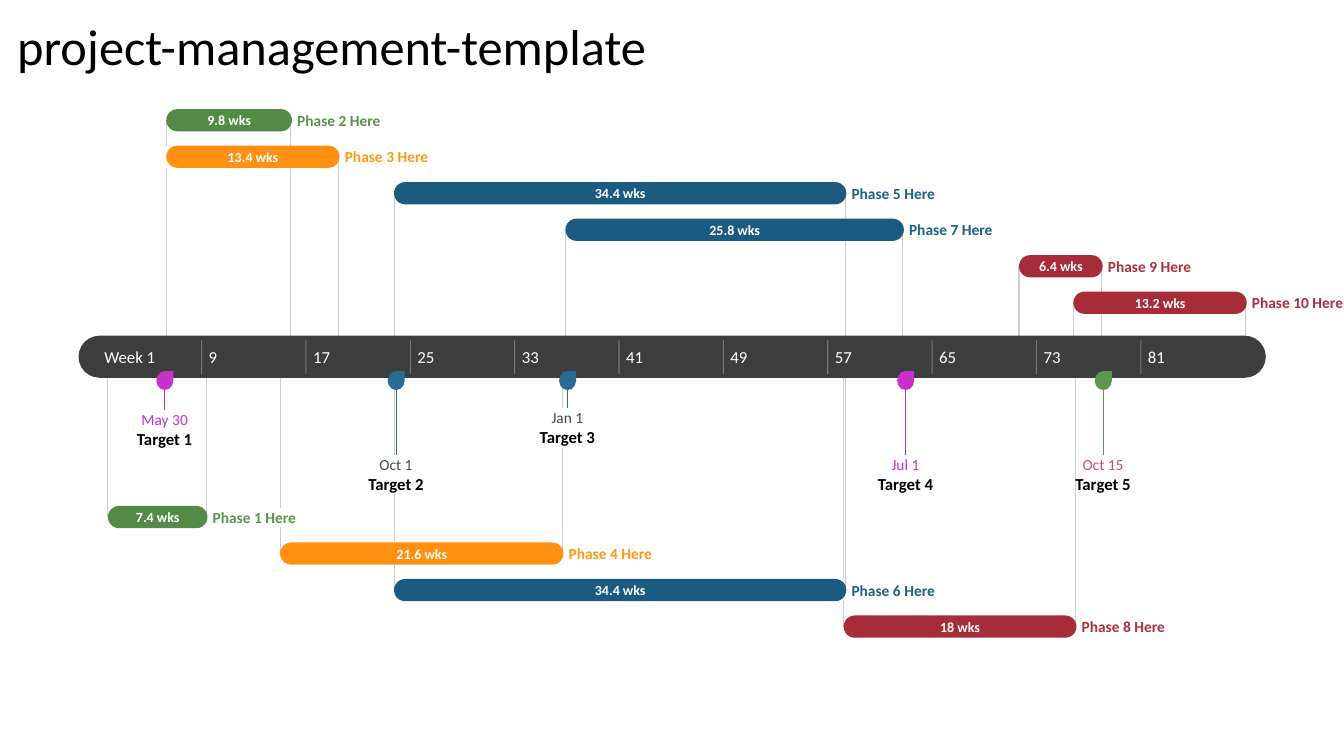
"""Build a project timeline slide with phases above and below a band of weeks."""
import dataclasses
import typing

import lxml.etree
import pptx
import pptx.dml.color
import pptx.enum.shapes
import pptx.enum.text
import pptx.oxml.ns
import pptx.util

Cm = pptx.util.Cm
Shape = pptx.enum.shapes.MSO_SHAPE
Align = pptx.enum.text.PP_ALIGN


@dataclasses.dataclass(frozen=True)
class Tone:
    fill: str
    ink: str


@dataclasses.dataclass(frozen=True)
class Theme:
    font: str = "Calibri"
    white: str = "FFFFFF"
    black: str = "000000"
    band: str = "3D3D3D"
    guide: str = "CCCCCC"
    slate: str = "454551"
    rose: str = "D54773"
    pink: str = "C830CC"
    azure: str = "286C94"
    leaf: str = "5C9650"
    green: Tone = Tone("528A46", "59944D")
    orange: Tone = Tone("FF9012", "FF9816")
    blue: Tone = Tone("1C5B81", "1F6086")
    red: Tone = Tone("A52C38", "AC2F3C")
    title: int = 36
    large: int = 12
    label: int = 11
    small: int = 10
    rule: float = 0.75


@dataclasses.dataclass(frozen=True)
class Box:
    left: float
    top: float
    width: float
    height: float

    @property
    def right(self) -> float:
        return self.left + self.width

    @property
    def base(self) -> float:
        return self.top + self.height

    @property
    def mid(self) -> float:
        return self.top + self.height / 2


@dataclasses.dataclass(frozen=True)
class Phase:
    name: str
    weeks: str
    left: float
    width: float
    tone: Tone


@dataclasses.dataclass(frozen=True)
class Target:
    name: str
    date: str
    x: float
    top: float
    fill: str
    ink: str


THEME = Theme()
BAND = Box(1.98, 8.46, 29.92, 1.06)
ROW_STEP, BAR_HEIGHT = 0.92, 0.56
WEEK_LEFT, WEEK_STEP = 2.45, 2.63

ABOVE = [
    Phase("Phase 2 Here", "9.8 wks", 4.19, 3.17, THEME.green),
    Phase("Phase 3 Here", "13.4 wks", 4.19, 4.37, THEME.orange),
    Phase("Phase 5 Here", "34.4 wks", 9.93, 11.4, THEME.blue),
    Phase("Phase 7 Here", "25.8 wks", 14.25, 8.53, THEME.blue),
    Phase("Phase 9 Here", "6.4 wks", 25.68, 2.11, THEME.red),
    Phase("Phase 10 Here", "13.2 wks", 27.05, 4.37, THEME.red),
]
BELOW = [
    Phase("Phase 1 Here", "7.4 wks", 2.72, 2.51, THEME.green),
    Phase("Phase 4 Here", "21.6 wks", 7.06, 7.14, THEME.orange),
    Phase("Phase 6 Here", "34.4 wks", 9.93, 11.4, THEME.blue),
    Phase("Phase 8 Here", "18 wks", 21.26, 5.87, THEME.red),
]
TARGETS = [
    Target("Target 1", "May 30", 4.15, 10.34, THEME.pink, THEME.pink),
    Target("Target 2", "Oct 1", 9.98, 11.46, THEME.azure, THEME.slate),
    Target("Target 3", "Jan 1", 14.3, 10.29, THEME.azure, THEME.slate),
    Target("Target 4", "Jul 1", 22.82, 11.46, THEME.pink, THEME.pink),
    Target("Target 5", "Oct 15", 27.8, 11.46, THEME.leaf, THEME.rose),
]


def rgb(code: str) -> pptx.dml.color.RGBColor:
    """Turn a hex code into a colour."""
    return pptx.dml.color.RGBColor.from_string(code)


def place(box: Box) -> tuple:
    """Give the lengths of a box."""
    return Cm(box.left), Cm(box.top), Cm(box.width), Cm(box.height)


def style(frame: typing.Any, text: str, size: int, ink: str, bold: bool, align: typing.Any) -> None:
    """Fill a text frame with one styled line."""
    frame.text = text
    frame.word_wrap = True
    frame.auto_size = pptx.enum.text.MSO_AUTO_SIZE.NONE
    frame.vertical_anchor = pptx.enum.text.MSO_ANCHOR.MIDDLE
    line = frame.paragraphs[0]
    line.alignment = align
    font = line.runs[0].font
    font.name, font.size, font.bold = THEME.font, pptx.util.Pt(size), bold
    font.color.rgb = rgb(ink)


def write(slide: typing.Any, box: Box, text: str, size: int, ink: str,
          bold: bool = False, align: typing.Any = Align.CENTER) -> None:
    """Add a text box without insets."""
    frame = slide.shapes.add_textbox(*place(box)).text_frame
    frame.margin_left = frame.margin_right = frame.margin_top = frame.margin_bottom = 0
    style(frame, text, size, ink, bold, align)


def block(slide: typing.Any, kind: typing.Any, box: Box, fill: str) -> None:
    """Add a flat filled shape, fully rounded if it is a bar."""
    shape = slide.shapes.add_shape(kind, *place(box))
    shape.shadow.inherit = False
    shape.fill.solid()
    shape.fill.fore_color.rgb = rgb(fill)
    shape.line.fill.background()
    if kind == Shape.ROUNDED_RECTANGLE:
        shape.adjustments[0] = 0.5


def rule(slide: typing.Any, x: float, top: float, base: float, ink: str, alpha: int = 100) -> None:
    """Add an upright line."""
    line = slide.shapes.add_connector(pptx.enum.shapes.MSO_CONNECTOR.STRAIGHT, Cm(x), Cm(top), Cm(x), Cm(base))
    line.line.width = pptx.util.Pt(THEME.rule)
    line.line.color.rgb = rgb(ink)
    qn = pptx.oxml.ns.qn
    props = line.element.spPr
    if alpha < 100:
        tint = props.find(".//" + qn("a:srgbClr"))
        lxml.etree.SubElement(tint, qn("a:alpha")).set("val", str(alpha * 1000))
    lxml.etree.SubElement(props, qn("a:effectLst"))


def guide(slide: typing.Any, x: float, start: float, end: float, blocks: list) -> None:
    """Draw a guide from a bar to the band, broken where it meets a block."""
    low, high = sorted((start, end))
    cuts = [low]
    for box in sorted(blocks, key=lambda item: item.top):
        if box.left <= x <= box.right and low < box.top and box.base < high:
            cuts += [box.top, box.base]
    cuts.append(high)
    for top, base in zip(cuts[::2], cuts[1::2]):
        rule(slide, x, top, base, THEME.guide)


def tag(bar: Box) -> Box:
    """Give the place of the name beside a bar."""
    return Box(bar.right + 0.13, bar.mid - 0.24, 2.35, 0.48)


def main() -> None:
    """Draw the slide and save it."""
    deck = pptx.Presentation()
    deck.slide_width, deck.slide_height = Cm(33.87), Cm(19.05)
    slide = deck.slides.add_slide(deck.slide_layouts[5])
    title = slide.shapes.title
    title.left, title.top, title.width, title.height = place(Box(0.18, 0.25, 20.55, 1.8))
    style(title.text_frame, "project-management-template", THEME.title, THEME.black, False, Align.LEFT)

    bars = [(phase, Box(phase.left, first + ROW_STEP * row, phase.width, BAR_HEIGHT), edge)
            for group, first, edge in ((ABOVE, 2.75, BAND.top), (BELOW, 12.75, BAND.base))
            for row, phase in enumerate(group)]
    blocks = [bar for _, bar, _ in bars] + [tag(bar) for _, bar, _ in bars]
    blocks += [Box(goal.x - 0.6, goal.top, 1.2, 0.99) for goal in TARGETS]
    seen = set()
    for _, bar, edge in bars:
        for x in (bar.left, bar.right - 0.03):
            if (x, edge) not in seen:
                seen.add((x, edge))
                guide(slide, x, bar.mid, edge, blocks)
    for goal in TARGETS:
        rule(slide, goal.x, 9.6, goal.top, goal.fill)

    block(slide, Shape.ROUNDED_RECTANGLE, BAND, THEME.band)
    for step in range(11):
        x = WEEK_LEFT + WEEK_STEP * step
        week = str(1 + 8 * step) if step else "Week 1"
        spot = Box(x + 0.18, BAND.mid - 0.25, 0.5 if step else 1.4, 0.5)
        write(slide, spot, week, THEME.large, THEME.white, align=Align.LEFT)
        if step:
            rule(slide, x, BAND.top + 0.12, BAND.base - 0.1, THEME.white, 30)

    for phase, bar, _ in bars:
        block(slide, Shape.ROUNDED_RECTANGLE, bar, phase.tone.fill)
        write(slide, tag(bar), phase.name, THEME.label, phase.tone.ink, True, Align.LEFT)
        spot = Box(bar.left + bar.width / 2 - 0.7, bar.mid - 0.22, 1.4, 0.44)
        write(slide, spot, phase.weeks, THEME.small, THEME.white, True)

    for goal in TARGETS:
        block(slide, Shape.TEAR, Box(goal.x - 0.21, 9.35, 0.43, 0.48), goal.fill)
        write(slide, Box(goal.x - 0.75, goal.top + 0.47, 1.5, 0.52), goal.name, THEME.large, THEME.black, True)
        write(slide, Box(goal.x - 0.65, goal.top, 1.3, 0.48), goal.date, THEME.label, goal.ink)
    deck.save("out.pptx")


if __name__ == "__main__":
    main()
